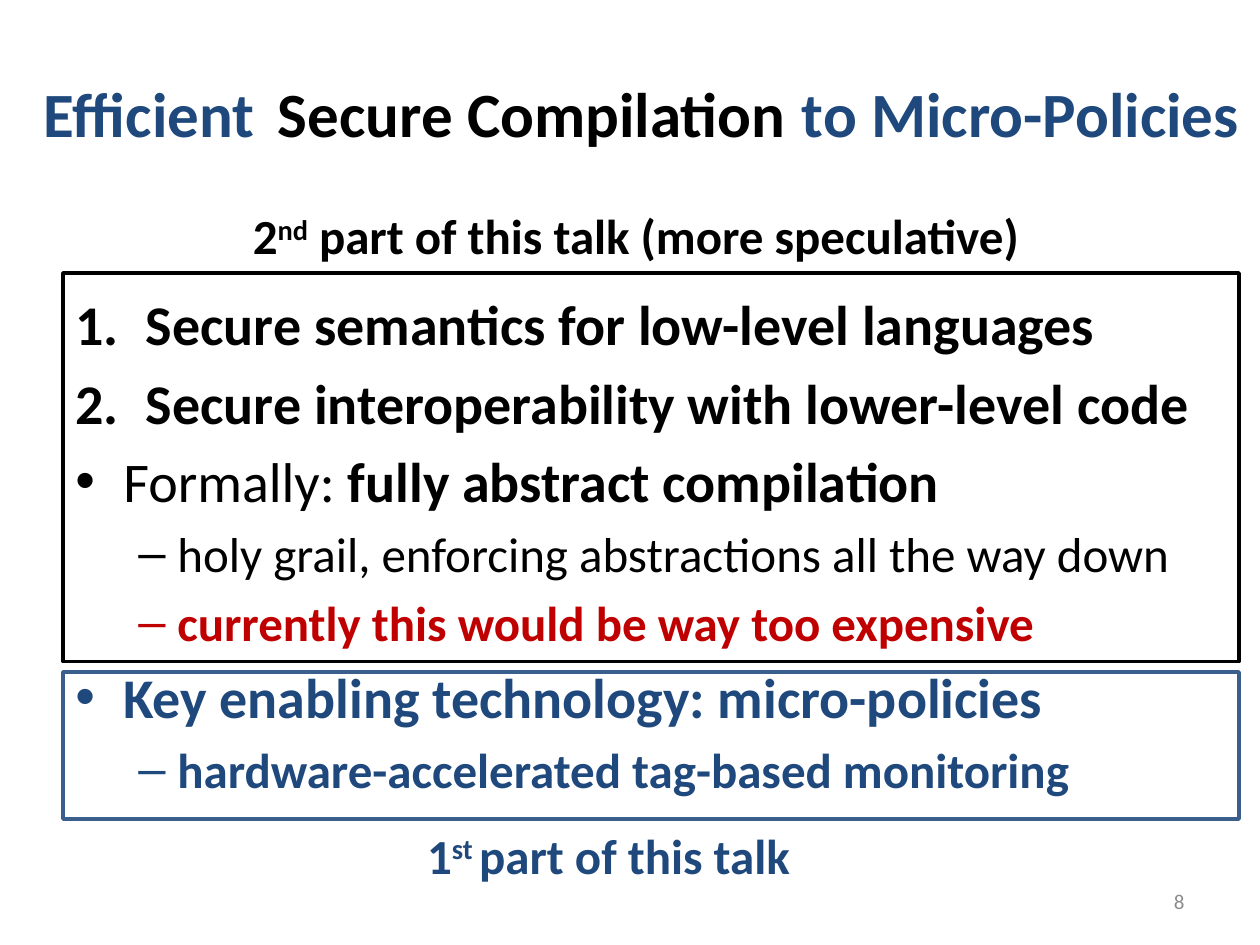
import pptx
import pptx.dml.color
import pptx.enum.shapes
import pptx.enum.text
import pptx.oxml.ns
import pptx.util
from lxml import etree

COLORS = {
    "black": "000000",
    "navy": "1F497D",
    "red": "C00000",
    "gray": "8C8C8C",
    "frame": "3A5F8C",
}
ALIGN = pptx.enum.text.PP_ALIGN
LEVELS = {
    "number": (0, 0.56, 0.56, "buAutoNum", {"type": "arabicPeriod"}),
    "dot": (0, 0.38, 0.38, "buChar", {"char": "•"}),
    "dash": (1, 0.81, 0.31, "buChar", {"char": "–"}),
}


class TalkSlide:
    font_name = "Calibri"
    cell = pptx.util.Inches(1) / 12

    def __init__(self, deck):
        self.page = deck.slides.add_slide(deck.slide_layouts[6])

    def place(self, *cells):
        return [round(count * self.cell) for count in cells]

    def color(self, name):
        return pptx.dml.color.RGBColor.from_string(COLORS[name])

    def style(self, para, size, color, bold):
        para.font.name = self.font_name
        para.font.size = pptx.util.Pt(size)
        para.font.color.rgb = self.color(color)
        para.font.bold = bold

    def add_spans(self, para, spans):
        for text, kind in spans:
            span = para.add_run()
            span.text = text
            if kind == "raised":
                span.font._element.set("baseline", "30000")
            elif kind == "plain":
                span.font.bold = False

    def label(self, area, spans, size, color="black", bold=True, align=ALIGN.LEFT):
        box = self.page.shapes.add_textbox(*self.place(*area))
        frame = box.text_frame
        frame.word_wrap = False
        frame.auto_size = pptx.enum.text.MSO_AUTO_SIZE.SHAPE_TO_FIT_TEXT
        para = frame.paragraphs[0]
        para.alignment = align
        self.style(para, size, color, bold)
        self.add_spans(para, spans)
        return box

    def page_number(self, area, text):
        box = self.label(area, [(text, "")], 12, "gray", False, ALIGN.RIGHT)
        box.text_frame.word_wrap = True
        box.text_frame.auto_size = pptx.enum.text.MSO_AUTO_SIZE.NONE
        box.text_frame.vertical_anchor = pptx.enum.text.MSO_ANCHOR.MIDDLE

    def bullet(self, para, kind):
        level, margin, hanging, tag, attributes = LEVELS[kind]
        para.level = level
        props = para._p.get_or_add_pPr()
        props.set("marL", str(pptx.util.Inches(margin)))
        props.set("indent", str(-pptx.util.Inches(hanging)))
        if tag == "buChar":
            etree.SubElement(props, pptx.oxml.ns.qn("a:buFont"), typeface="Arial")
        etree.SubElement(props, pptx.oxml.ns.qn(f"a:{tag}"), attributes)

    def outline(self, area, items):
        box = self.page.shapes.add_textbox(*self.place(*area))
        frame = box.text_frame
        frame.word_wrap = True
        for index, (kind, color, bold, spans) in enumerate(items):
            para = frame.add_paragraph() if index else frame.paragraphs[0]
            size = 28 if kind == "dash" else 32
            self.bullet(para, kind)
            if index:
                para.space_before = pptx.util.Pt(size * 0.2)
            self.style(para, size, color, bold)
            self.add_spans(para, spans)

    def frame(self, area, color):
        shape = self.page.shapes.add_shape(
            pptx.enum.shapes.MSO_SHAPE.RECTANGLE, *self.place(*area))
        shape.shadow.inherit = False
        shape.fill.background()
        shape.line.color.rgb = self.color(color)
        shape.line.width = pptx.util.Pt(2)


def main():
    deck = pptx.Presentation()
    deck.slide_width = pptx.util.Inches(10)
    deck.slide_height = pptx.util.Inches(7.5)
    slide = TalkSlide(deck)

    slide.outline((6, 27, 111, 51), [
        ("number", "black", True, [("Secure semantics for low-level languages", "")]),
        ("number", "black", True, [("Secure interoperability with lower-level code", "")]),
        ("dot", "black", True, [("Formally: ", "plain"), ("fully abstract compilation", "")]),
        ("dash", "black", False, [("holy grail, enforcing abstractions all the way down", "")]),
        ("dash", "red", True, [("currently this would be way too expensive", "")]),
        ("dot", "navy", True, [("Key enabling technology: micro-policies", "")]),
        ("dash", "navy", True, [("hardware-accelerated tag-based monitoring", "")]),
    ])
    slide.page_number((86, 83.4, 28, 4.8), "8")

    for left, width, text, color in [
        (3, 24.2, "Efficient", "navy"),
        (75.2, 44.5, "to Micro-Policies", "navy"),
        (25.3, 51.4, "Secure Compilation", "black"),
    ]:
        slide.label((left, 6.5, width, 8.5), [(text, "")], 36, color)

    slide.frame((6, 64, 112, 14), "frame")
    slide.label((39.5, 78, 38.2, 6.8),
                [("1", ""), ("st ", "raised"), ("part of this talk", "")], 28, "navy")
    slide.frame((6, 26, 112, 37), "black")
    slide.label((22.9, 19, 76.8, 6.8),
                [("2", ""), ("nd", "raised"), (" part of this talk (more speculative)", "")], 28)

    deck.save("out.pptx")


if __name__ == "__main__":
    main()
